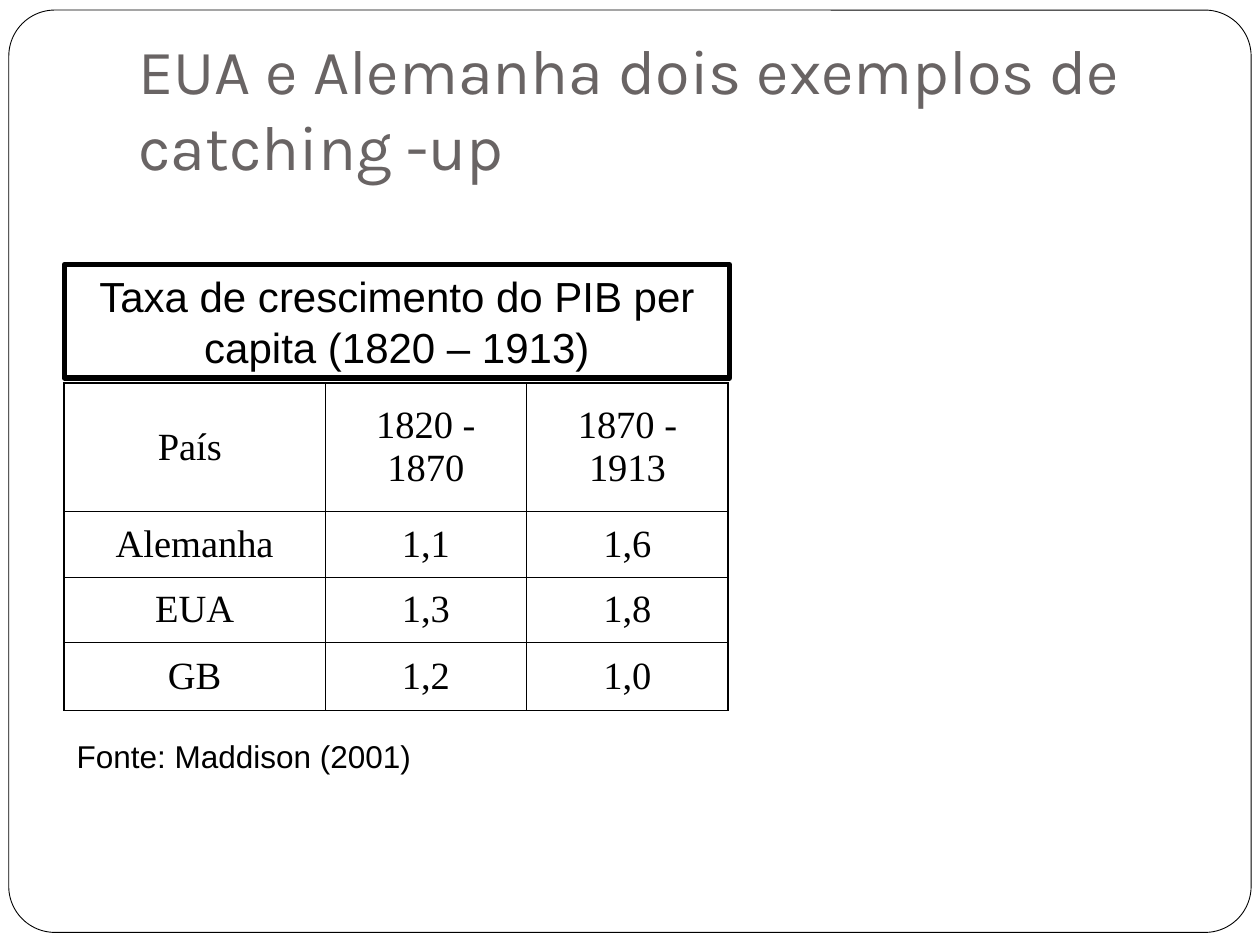
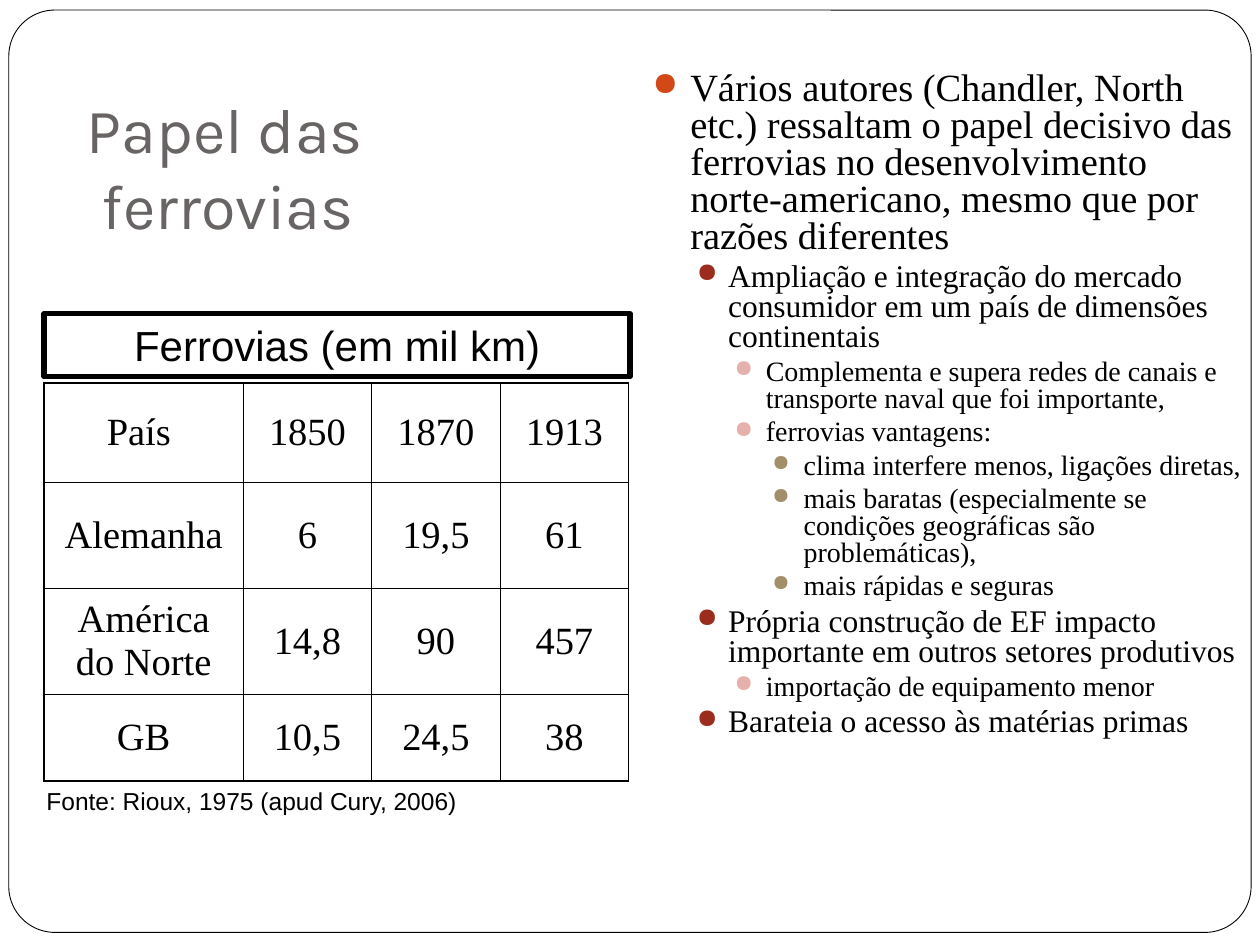
from dataclasses import dataclass
from lxml import etree
from pptx import Presentation
from pptx import util as u
from pptx.dml.color import RGBColor
from pptx.enum import shapes, text
from pptx.oxml import ns

COLS, ROWS = 100, 75  # grid units on a 10 x 7.5 inch slide


@dataclass(frozen=True)
class Theme:
    ink: str = "000000"
    paper: str = "FFFFFF"
    title: str = "696464"
    dots: tuple = ("D34817", "9B2D1F", "E6B1AB", "A28E6A")
    head: str = "Karla"
    sans: str = "Arial"
    serif: str = "Times New Roman"
    big: int = 36
    label: int = 24
    cell: int = 22
    levels: tuple = (22, 18, 16, 16)
    thick: float = 3
    thin: float = 0.5
    edge: float = 1.08
    rule: float = 0.45


class Deck:
    def __init__(self, theme):
        self.theme = theme
        self.prs = Presentation()
        self.prs.slide_width, self.prs.slide_height = u.Inches(10), u.Inches(7.5)
        self.slide = None

    def col(self, n):
        return round(self.prs.slide_width * n / COLS)

    def row(self, n):
        return round(self.prs.slide_height * n / ROWS)

    def box(self, x, y, w, h):
        return self.col(x), self.row(y), self.col(w), self.row(h)

    def style(self, para, face, size, color=None, align=None):
        font = para.font
        font.name, font.size = face, u.Pt(size)
        font.color.rgb = RGBColor.from_string(color or self.theme.ink)
        para.alignment = align

    def outline(self, kind, at, width, fill=None):
        shape = self.slide.shapes.add_shape(kind, *self.box(*at))
        shape.shadow.inherit = False
        if fill:
            shape.fill.solid()
            shape.fill.fore_color.rgb = RGBColor.from_string(fill)
        else:
            shape.fill.background()
        shape.line.color.rgb = RGBColor.from_string(self.theme.ink)
        shape.line.width = u.Pt(width)
        return shape

    def frame(self, at):
        box = self.slide.shapes.add_textbox(*self.box(*at)).text_frame
        box.word_wrap = True
        return box

    # New slide with the rounded border and a title
    def page(self, title, at):
        t = self.theme
        self.slide = self.prs.slides.add_slide(self.prs.slide_layouts[6])
        border = self.outline(shapes.MSO_SHAPE.ROUNDED_RECTANGLE,
                              (0.7, 0.8, 98.6, 73.2), t.thin, t.paper)
        border.adjustments[0] = 0.05
        box = self.frame(at)
        box.vertical_anchor = text.MSO_ANCHOR.BOTTOM
        box.margin_bottom = u.Inches(0.1)
        box.paragraphs[0].text = title
        self.style(box.paragraphs[0], t.head, t.big, t.title)

    # Boxed heading above a table
    def label(self, words, at):
        shape = self.outline(shapes.MSO_SHAPE.RECTANGLE, at, self.theme.thick)
        box = shape.text_frame
        box.word_wrap = True
        box.vertical_anchor = text.MSO_ANCHOR.TOP
        box.paragraphs[0].text = words
        self.style(box.paragraphs[0], self.theme.sans, self.theme.label,
                   align=text.PP_ALIGN.CENTER)

    # Source line below a table
    def source(self, words, at, size):
        para = self.frame(at).paragraphs[0]
        para.text = words
        self.style(para, self.theme.sans, size)

    def borders(self, cell, outer):
        props = cell._tc.get_or_add_tcPr()
        for side in "LRTB":
            width = self.theme.edge if side in outer else self.theme.rule
            line = etree.SubElement(props, ns.qn(f"a:ln{side}"), w=str(u.Pt(width)))
            fill = etree.SubElement(line, ns.qn("a:solidFill"))
            etree.SubElement(fill, ns.qn("a:srgbClr"), val=self.theme.ink)

    # Ruled table with a heavier outer edge
    def table(self, data, x, y, widths, heights):
        at = self.box(x, y, sum(widths), sum(heights))
        grid = self.slide.shapes.add_table(len(heights), len(widths), *at).table
        grid.first_row = grid.horz_banding = False
        for col, wide in zip(grid.columns, widths):
            col.width = self.col(wide)
        for row, high in zip(grid.rows, heights):
            row.height = self.row(high)
        for r, line in enumerate(data):
            for c, value in enumerate(line):
                cell = grid.cell(r, c)
                ends = {"T": r == 0, "B": r == len(data) - 1,
                        "L": c == 0, "R": c == len(line) - 1}
                self.borders(cell, [side for side, last in ends.items() if last])
                cell.fill.background()
                cell.vertical_anchor = text.MSO_ANCHOR.MIDDLE
                para = cell.text_frame.paragraphs[0]
                para.text = value
                self.style(para, self.theme.serif, self.theme.cell,
                           align=text.PP_ALIGN.CENTER)

    # Bulleted outline, one (level, words) pair per paragraph
    def bullets(self, items, at):
        t = self.theme
        box = self.frame(at)
        for i, (level, words) in enumerate(items):
            para = box.add_paragraph() if i else box.paragraphs[0]
            para.text, para.level, para.line_spacing = words, level, 0.8
            if i:
                para.space_before = u.Pt(3.7)
            props = para._p.get_or_add_pPr()
            props.set("marL", str(u.Inches(0.3 * (level + 1))))
            props.set("indent", str(-u.Inches(0.25 if level else 0.3)))
            tint = etree.SubElement(props, ns.qn("a:buClr"))
            etree.SubElement(tint, ns.qn("a:srgbClr"), val=t.dots[level])
            etree.SubElement(props, ns.qn("a:buSzPct"),
                             val="80000" if level == 3 else "85000")
            etree.SubElement(props, ns.qn("a:buChar"), char="●")
            self.style(para, t.serif, t.levels[level])


GROWTH = [
    ("País ", "1820 - 1870", "1870 - 1913"),
    ("Alemanha", "1,1", "1,6"),
    ("EUA", "1,3", "1,8"),
    ("GB", "1,2", "1,0"),
]
RAILS = [
    ("País ", "1850", "1870", "1913"),
    ("Alemanha", "6", "19,5", "61"),
    ("América do Norte", "14,8", "90", "457"),
    ("GB", "10,5", "24,5", "38"),
]
POINTS = [
    (0, "Vários autores (Chandler, North etc.) ressaltam o papel decisivo das "
        "ferrovias no desenvolvimento norte-americano, mesmo que por razões diferentes"),
    (1, "Ampliação e integração do mercado consumidor em um país de dimensões "
        "continentais"),
    (2, "Complementa e supera redes de canais e transporte naval que foi importante,"),
    (2, "ferrovias vantagens:"),
    (3, "clima interfere menos, ligações diretas,"),
    (3, "mais baratas (especialmente se condições geográficas são problemáticas),"),
    (3, "mais rápidas e seguras"),
    (1, "Própria construção de EF impacto importante em outros setores produtivos"),
    (2, "importação de equipamento menor"),
    (1, "Barateia o acesso às matérias primas"),
]
TOP = 30.4  # both tables start on this row


def main():
    deck = Deck(Theme())

    # Growth rates
    deck.page("EUA e Alemanha dois exemplos de catching -up", (10, 3, 85, 12.5))
    deck.table(GROWTH, 5.1, TOP, [20.7, 16, 16], [10.2, 5.2, 5.2, 5.4])
    deck.label("Taxa de crescimento do PIB per capita (1820 – 1913)",
               (5.1, 21, 52.8, 9))
    deck.source("Fonte: Maddison (2001)", (5.1, 58, 31.5, 4), 18)

    # Railways
    deck.page("Papel das\v ferrovias", (5.9, 7.6, 84.2, 12.6))
    deck.bullets(POINTS, (50.8, 5.2, 49.2, 67.7))
    deck.table(RAILS, 3.5, TOP, [15.8] + [10.2] * 3, [7.9, 8.4, 8.4, 6.9])
    deck.label("Ferrovias (em mil km)", (3.5, 24.9, 46.5, 5))
    deck.source("Fonte: Rioux, 1975 (apud Cury, 2006)", (2.7, 61.9, 46.5, 3.4), 14)

    deck.prs.save("out.pptx")


if __name__ == "__main__":
    main()
